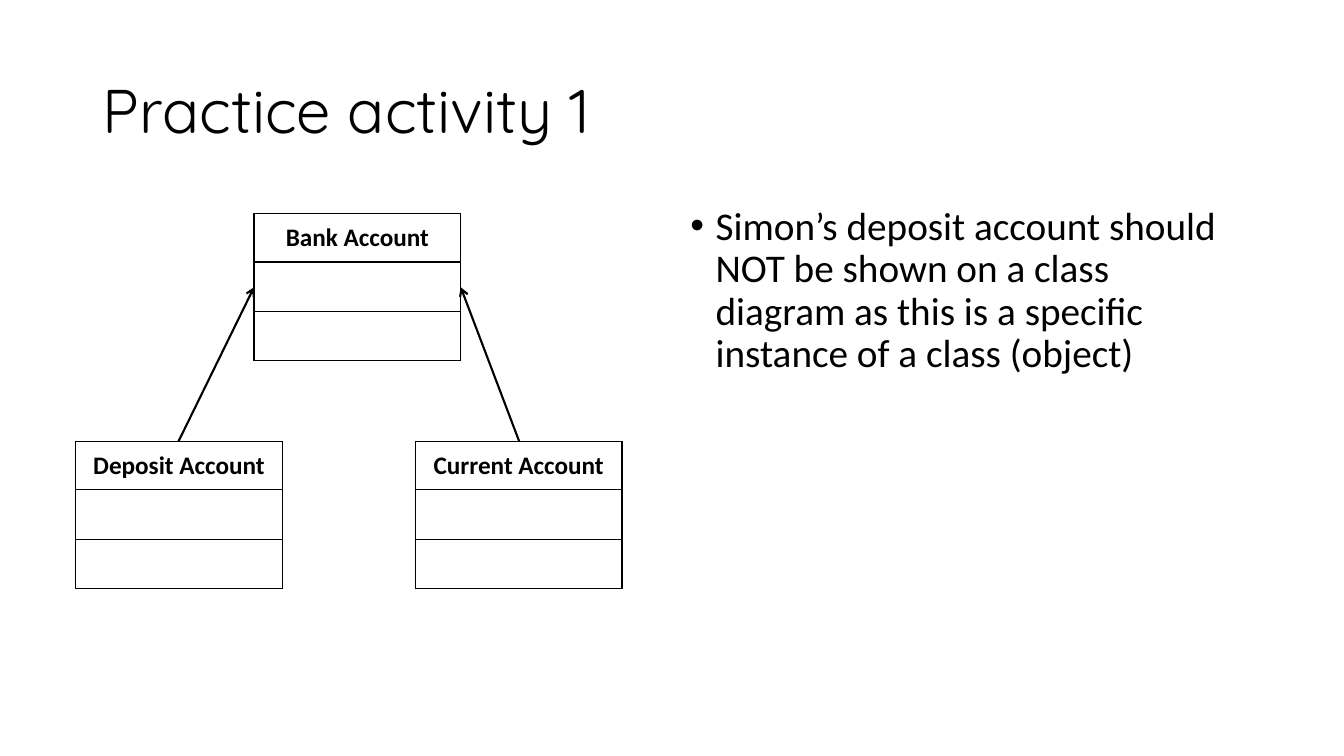
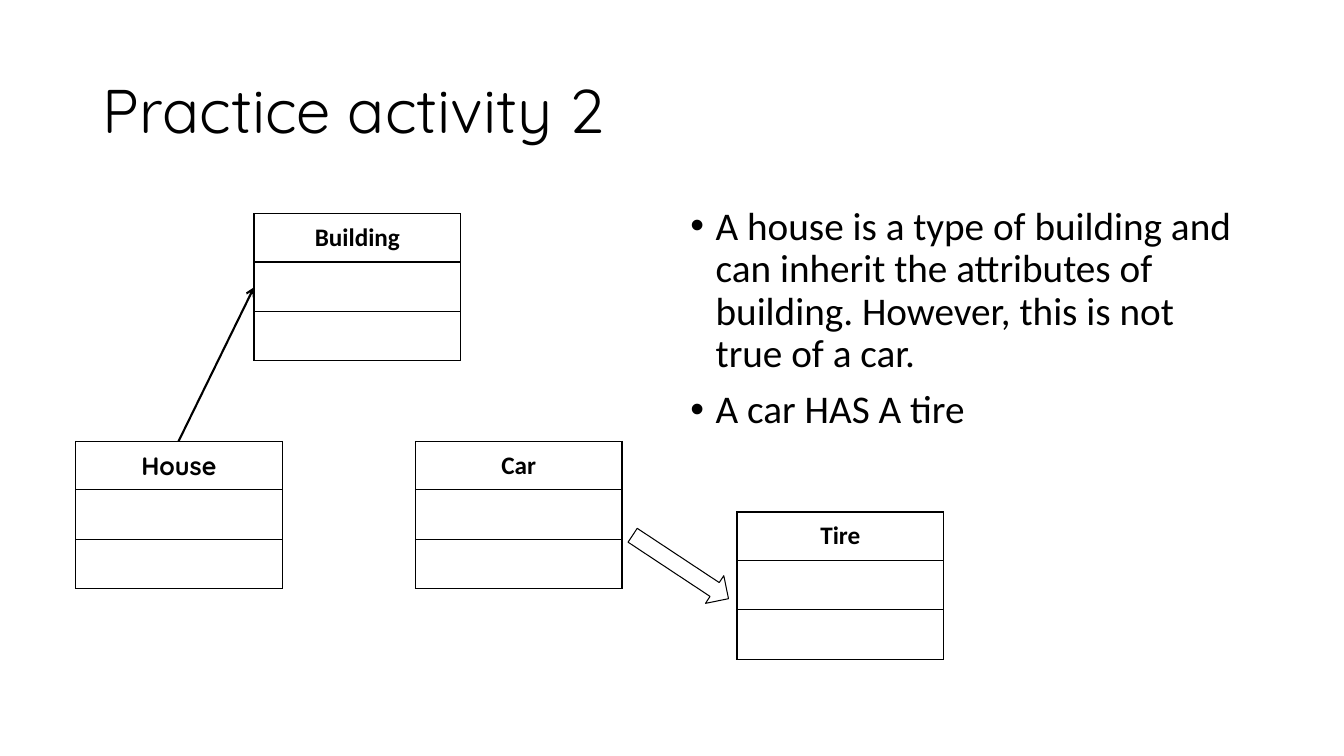
from lxml.etree import SubElement
from pptx import Presentation
from pptx.dml.color import RGBColor
from pptx.enum.shapes import MSO_CONNECTOR, MSO_SHAPE
from pptx.enum.text import MSO_ANCHOR, PP_ALIGN
from pptx.oxml.ns import qn
from pptx.util import Inches, Pt

COLORS = {"ink": "000000"}
INK = RGBColor.from_string(COLORS["ink"])
BODY_FONT, TITLE_FONT = "Calibri", "Quicksand"

BOX_WIDTH = 2.05
ROW_HEIGHTS = [0.48, 0.49, 0.49]
PARENT, LEFT_CHILD, RIGHT_CHILD, PART = (2.52, 2.12), (0.75, 4.38), (4.12, 4.38), (7.31, 5.08)
PARENT_MIDDLE = 2.85
LEFT_LINK = (1.77, LEFT_CHILD[1], PARENT[0], PARENT_MIDDLE)
RIGHT_LINK = (5.15, RIGHT_CHILD[1], PARENT[0] + BOX_WIDTH, PARENT_MIDDLE)

SLIDES = [
    {
        "title": "Practice activity 1",
        "bullets": [
            "Simon’s deposit account should NOT be shown on a class diagram "
            "as this is a specific instance of a class (object)",
        ],
        "classes": [
            ("Bank Account", PARENT, BODY_FONT),
            ("Current Account", RIGHT_CHILD, BODY_FONT),
            ("Deposit Account", LEFT_CHILD, BODY_FONT),
        ],
        "links": [LEFT_LINK, RIGHT_LINK],
        "has_part": False,
    },
    {
        "title": "Practice activity 2",
        "bullets": [
            "A house is a type of building and can inherit the attributes of building. "
            "However, this is not true of a car.",
            "A car HAS A tire",
        ],
        "classes": [
            ("Building", PARENT, BODY_FONT),
            ("Car", RIGHT_CHILD, BODY_FONT),
            ("House", LEFT_CHILD, TITLE_FONT),
            ("Tire", PART, BODY_FONT),
        ],
        "links": [LEFT_LINK],
        "has_part": True,
    },
]


def format_runs(p, size, font, bold=False):
    for r in p.runs:
        r.font.size = Pt(size)
        r.font.name = font
        r.font.bold = bold
        r.font.color.rgb = INK


def add_class_box(s, name, position, font):
    """Draw a UML class: a name row above two empty compartments."""
    x, y = position
    frame = s.shapes.add_table(len(ROW_HEIGHTS), 1, Inches(x), Inches(y),
                               Inches(BOX_WIDTH), Inches(sum(ROW_HEIGHTS)))
    table = frame.table
    table.first_row = table.horz_banding = False
    for row, height in zip(table.rows, ROW_HEIGHTS):
        row.height = Inches(height)
        cell = row.cells[0]
        tcPr = cell._tc.get_or_add_tcPr()
        for side in ("a:lnL", "a:lnR", "a:lnT", "a:lnB"):
            ln = SubElement(tcPr, qn(side), w=str(Pt(1)))
            fill = SubElement(ln, qn("a:solidFill"))
            SubElement(fill, qn("a:srgbClr"), val=COLORS["ink"])
        cell.fill.background()
    header = table.cell(0, 0)
    header.vertical_anchor = MSO_ANCHOR.MIDDLE
    header.text = name
    p = header.text_frame.paragraphs[0]
    p.alignment = PP_ALIGN.CENTER
    format_runs(p, 18, font, bold=True)


prs = Presentation()
prs.slide_width, prs.slide_height = Inches(13.33), Inches(7.5)

for content in SLIDES:
    s = prs.slides.add_slide(prs.slide_layouts[6])

    title = s.shapes.add_textbox(Inches(0.92), Inches(0.4), Inches(11.5), Inches(1.45))
    tf = title.text_frame
    tf.word_wrap = True
    tf.vertical_anchor = MSO_ANCHOR.MIDDLE
    tf.text = content["title"]
    tf.paragraphs[0].line_spacing = 0.9
    format_runs(tf.paragraphs[0], 44, TITLE_FONT)

    body = s.shapes.add_textbox(Inches(6.75), Inches(2), Inches(5.67), Inches(4.76))
    tf = body.text_frame
    tf.word_wrap = True
    tf.text = "\n".join(content["bullets"])
    for p in tf.paragraphs:
        p.line_spacing = 0.9
        p.space_before = Pt(10)
        format_runs(p, 28, BODY_FONT)
        pPr = p._p.get_or_add_pPr()
        pPr.set("marL", str(Inches(0.25)))
        pPr.set("indent", str(Inches(-0.25)))
        SubElement(pPr, qn("a:buFont"), typeface="Arial")
        SubElement(pPr, qn("a:buChar"), char="•")

    for name, position, font in content["classes"]:
        add_class_box(s, name, position, font)

    for link in content["links"]:
        line = s.shapes.add_connector(MSO_CONNECTOR.STRAIGHT, *map(Inches, link))
        line.line.color.rgb = INK
        line.line.width = Pt(1.5)
        SubElement(line.line._get_or_add_ln(), qn("a:tailEnd"), type="arrow")
        SubElement(line._element.spPr, qn("a:effectLst"))

    if content["has_part"]:
        arrow = s.shapes.add_shape(MSO_SHAPE.RIGHT_ARROW, Inches(6.18), Inches(5.46),
                                   Inches(1.14), Inches(0.33))
        arrow.rotation = 33.5
        arrow.shadow.inherit = False
        arrow.fill.background()
        arrow.line.color.rgb = INK
        arrow.line.width = Pt(0.75)

prs.save("out.pptx")
